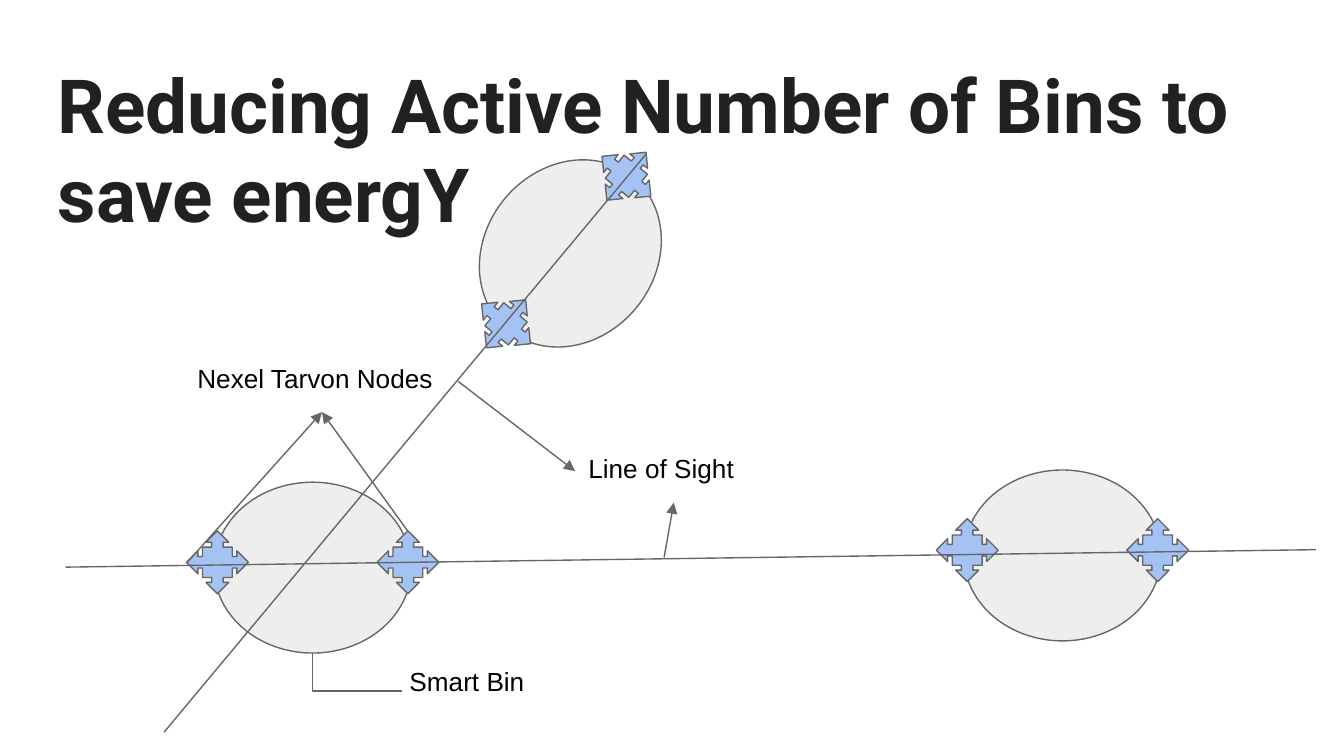
from math import cos, radians, sin

from lxml import etree
from pptx import Presentation
from pptx.dml.color import RGBColor
from pptx.enum.shapes import MSO_CONNECTOR, MSO_SHAPE
from pptx.enum.text import MSO_ANCHOR, MSO_AUTO_SIZE, PP_ALIGN
from pptx.oxml.ns import qn
from pptx.util import Cm, Pt

STRAIGHT, ELBOW = MSO_CONNECTOR.STRAIGHT, MSO_CONNECTOR.ELBOW
DISC = MSO_SHAPE.FLOWCHART_CONNECTOR
CROSS = MSO_SHAPE.QUAD_ARROW_CALLOUT
TOP, LEFT = MSO_ANCHOR.TOP, PP_ALIGN.LEFT
NO_FIT = MSO_AUTO_SIZE.NONE

BOTTOM_SIDE, LEFT_SIDE = 2, 1
PAD = 0.25


def color(code):
    return RGBColor.from_string(code)


class Board:
    ink, black, edge = "212121", "000000", "666666"
    grey, blue = "EEEEEE", "A4C2F4"

    def __init__(self, slide):
        self.slide = slide
        self.shapes = slide.shapes

    def letter(self, shape, text, font, size, tint, bold=False):
        """Set the shape's text and its style."""
        frame = shape.text_frame
        frame.word_wrap = True
        frame.auto_size = NO_FIT
        frame.vertical_anchor = TOP
        frame.margin_left = frame.margin_right = Cm(PAD)
        frame.margin_top = frame.margin_bottom = Cm(PAD)
        frame.text = text
        line = frame.paragraphs[0]
        line.alignment = LEFT
        line.font.name = font
        line.font.size = Pt(size)
        line.font.bold = bold
        line.font.color.rgb = color(tint)

    def title(self, text, x, y, w, h):
        head = self.shapes.title
        head.left, head.top = Cm(x), Cm(y)
        head.width, head.height = Cm(w), Cm(h)
        self.letter(head, text, "Roboto", 40, self.ink, True)

    def label(self, text, x, y, w):
        box = self.shapes.add_textbox(Cm(x), Cm(y), Cm(w), Cm(1.19))
        self.letter(box, text, "Arial", 14, self.black)
        return box

    def shape(self, kind, x, y, w, h, fill, turn):
        """Add a shape centred on x, y."""
        item = self.shapes.add_shape(
            kind, Cm(x - w / 2), Cm(y - h / 2), Cm(w), Cm(h))
        item.rotation = turn
        item.shadow.inherit = False
        item.fill.solid()
        item.fill.fore_color.rgb = color(fill)
        item.line.color.rgb = color(self.edge)
        item.line.width = Pt(0.75)
        return item

    def bin(self, x, y, turn=0):
        """Add a bin with a node at each end of its turned axis."""
        self.shape(DISC, x, y, 3.73, 3.23, self.grey, turn)
        c, s = cos(radians(turn)), sin(radians(turn))
        rise = -0.1
        for run in (-1.8, 1.8):
            node = self.shape(CROSS, x + run * c - rise * s,
                              y + run * s + rise * c,
                              1.17, 1.19, self.blue, turn)
            for i, value in enumerate((0.185, 0.185, 0.185, 0.481)):
                node.adjustments[i] = value

    def line(self, start, end, kind=STRAIGHT):
        link = self.shapes.add_connector(
            kind, *(Cm(v) for v in (*start, *end)))
        link.line.color.rgb = color(self.edge)
        link.line.width = Pt(0.75)
        etree.SubElement(link._element.spPr, qn("a:effectLst"))
        return link

    def arrow(self, start, label, side):
        """Point from start to the middle of a label's side."""
        link = self.line(start, start)
        link.end_connect(label, side)
        stroke = link._element.spPr.find(qn("a:ln"))
        etree.SubElement(stroke, qn("a:tailEnd")).set("type", "triangle")

    def corner(self, start, end):
        """Run down from start, then right to end."""
        (x1, y1), (x2, y2) = start, end
        mx, my = (x1 + x2) / 2, (y1 + y2) / 2
        w, h = y2 - y1, x2 - x1
        link = self.line((mx + w / 2, my - h / 2),
                         (mx - w / 2, my + h / 2), ELBOW)
        props = link._element.spPr
        props.find(qn("a:xfrm")).set("rot", str(270 * 60000))
        props.find(qn("a:prstGeom")).set("prst", "bentConnector2")


def main():
    deck = Presentation()
    deck.slide_width, deck.slide_height = Cm(25.4), Cm(14.29)
    board = Board(deck.slides.add_slide(deck.slide_layouts[5]))

    board.title("Reducing Active Number of Bins to save energY",
                0.84, 0.86, 23.72, 2.08)
    board.bin(5.91, 10.73)
    board.bin(20.08, 10.5)
    board.bin(10.78, 4.79, 309.2)

    nodes = board.label("Nexel Tarvon Nodes", 3.48, 6.6, 5.21)
    board.corner((5.91, 12.34), (7.59, 13.06))
    board.label("Smart Bin", 7.49, 12.32, 5.21)
    board.line((1.24, 10.72), (24.87, 10.39))
    sight = board.label("Line of Sight", 10.87, 8.31, 3.73)
    board.line((12.22, 2.9), (3.1, 13.84))

    board.arrow((8.66, 7.21), sight, LEFT_SIDE)
    board.arrow((12.55, 10.54), sight, BOTTOM_SIDE)
    board.arrow((3.53, 10.64), nodes, BOTTOM_SIDE)
    board.arrow((7.7, 10.03), nodes, BOTTOM_SIDE)
    deck.save("out.pptx")


if __name__ == "__main__":
    main()
